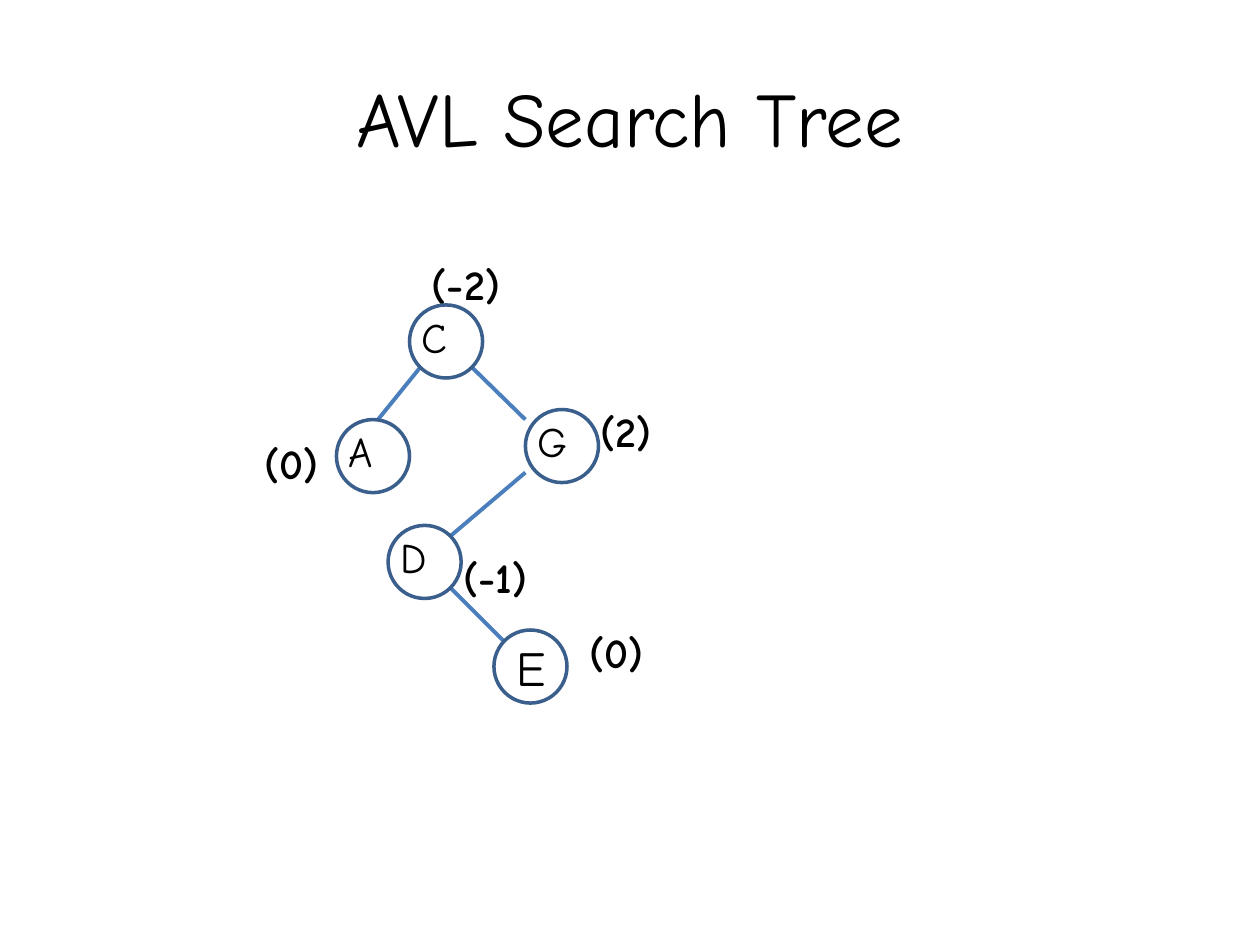
from lxml import etree
from pptx import Presentation
from pptx.dml import color
from pptx.enum import shapes, text
from pptx.oxml import ns
from pptx.util import Inches, Pt

COLORS = {"ink": "000000", "edge": "4B7EBC", "ring": "3A5F8C"}
FONT = "Comic Neue"
DIAMETER = 0.58

# Letter, left, top of each node
NODES = [("C", 3.25, 2.42), ("G", 4.17, 3.25), ("D", 3.08, 4.17),
         ("A", 2.67, 3.33)]
LEAF = ("E", 3.92, 5)
# Start x, start y, end x, end y of each branch
EDGES = [(3.75, 2.92, 4.17, 3.33), (3.58, 4.25, 4.17, 3.75),
         (3, 3.33, 3.34, 2.91), (3.58, 4.67, 4, 5.09)]
# Balance factor, left, top, width
BALANCES = [("(0)", 2, 3.42, 0.83), ("(-1)", 3.58, 4.33, 1.25),
            ("(-2)", 3.33, 2, 1.08), ("(2)", 4.67, 3.17, 0.83),
            ("(0)", 4.58, 4.92, 0.83)]


def rgb(name):
    return color.RGBColor.from_string(COLORS[name])


def write(shape, words, size, bold=False, centred=False):
    frame = shape.text_frame
    frame.word_wrap = True
    frame.text = words
    paragraph = frame.paragraphs[0]
    if centred:
        paragraph.alignment = text.PP_ALIGN.CENTER
        frame.vertical_anchor = text.MSO_ANCHOR.MIDDLE
    font = paragraph.runs[0].font
    for key, value in {"name": FONT, "size": Pt(size), "bold": bold}.items():
        setattr(font, key, value)
    font.color.rgb = rgb("ink")


def add_title(slide, words, left, top, width, height):
    title = slide.shapes.title
    box = {"left": left, "top": top, "width": width, "height": height}
    for key, value in box.items():
        setattr(title, key, Inches(value))
    write(title, words, 44, centred=True)


def add_label(parent, words, left, top, width, bold=False):
    label = parent.shapes.add_textbox(
        Inches(left), Inches(top), Inches(width), Inches(0.5))
    write(label, words, 24, bold)
    label.text_frame.auto_size = text.MSO_AUTO_SIZE.SHAPE_TO_FIT_TEXT


def add_circle(parent, left, top):
    circle = parent.shapes.add_shape(
        shapes.MSO_SHAPE.OVAL, Inches(left), Inches(top),
        Inches(DIAMETER), Inches(DIAMETER))
    circle.shadow.inherit = False
    circle.fill.background()
    circle.line.color.rgb = rgb("ring")
    circle.line.width = Pt(2)
    return circle


def add_edge(slide, *ends):
    edge = slide.shapes.add_connector(
        shapes.MSO_CONNECTOR.STRAIGHT, *map(Inches, ends))
    edge.line.color.rgb = rgb("edge")
    edge.line.width = Pt(2.25)
    etree.SubElement(edge._element.spPr, ns.qn("a:effectLst"))


def add_tree(slide):
    # Branches
    for ends in EDGES:
        add_edge(slide, *ends)
    # Balance factors
    for words, left, top, width in BALANCES:
        add_label(slide, words, left, top, width, bold=True)
    # Nodes, each a circle grouped with its letter
    for letter, left, top in NODES:
        node = slide.shapes.add_group_shape()
        add_circle(node, left, top)
        add_label(node, letter, left, top, 0.67)
    # New leaf, with its letter inside the circle
    letter, left, top = LEAF
    write(add_circle(slide, left, top), letter, 28, centred=True)


def main():
    presentation = Presentation()
    presentation.slide_width = Inches(10)
    presentation.slide_height = Inches(7.5)
    slide = presentation.slides.add_slide(presentation.slide_layouts[5])
    add_title(slide, "AVL Search Tree", 0.5, 0.3, 9, 1.25)
    add_tree(slide)
    presentation.save("out.pptx")


if __name__ == "__main__":
    main()
